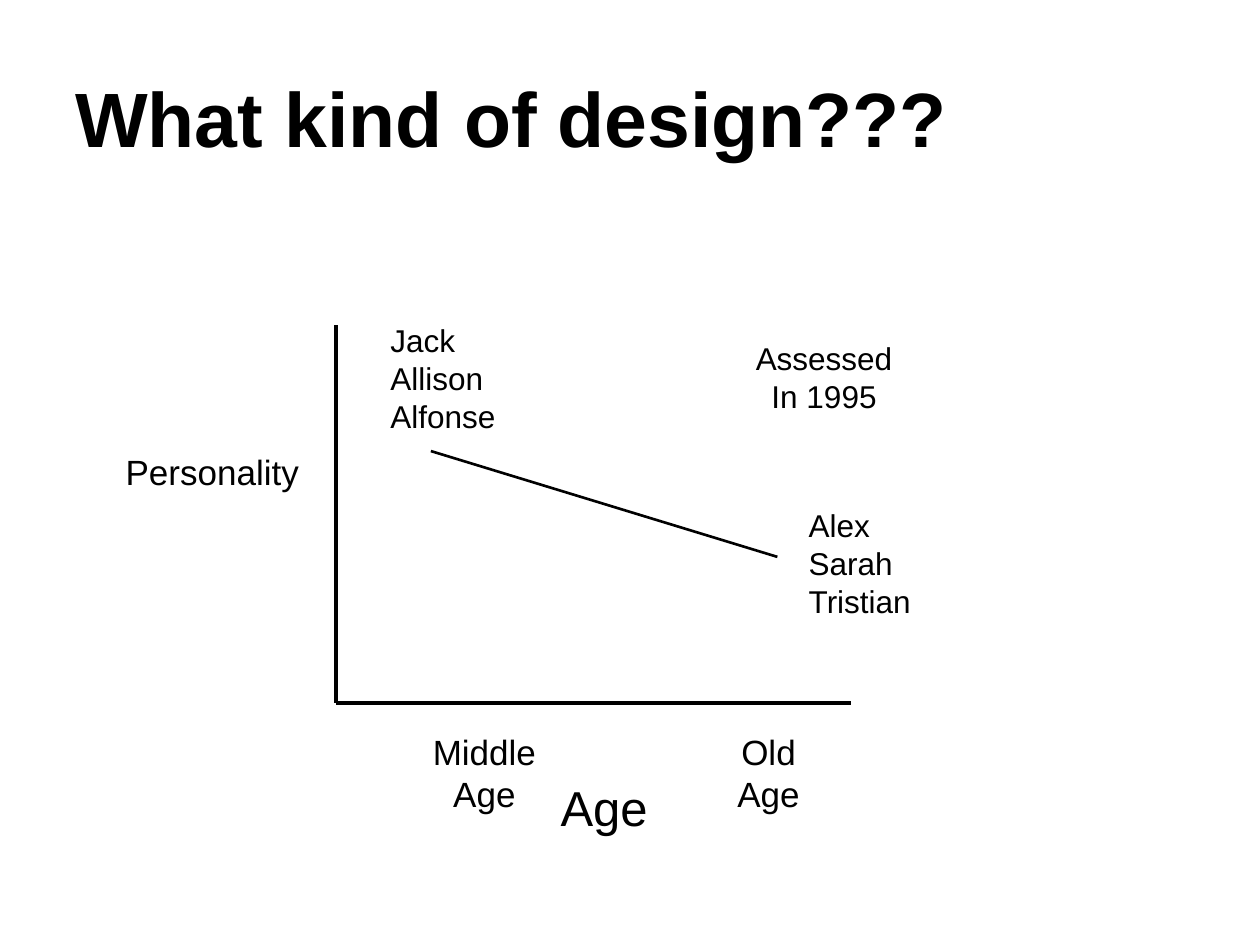
from pptx import Presentation
from pptx import util as u
from pptx.dml.color import RGBColor
from pptx.enum import shapes, text
from pptx.oxml.ns import qn
from lxml import etree

BLACK = RGBColor(0, 0, 0)
WHITE = RGBColor(255, 255, 255)
LEFT, CENTER = text.PP_ALIGN.LEFT, text.PP_ALIGN.CENTER


class DesignSlide:
    font = "Arial"
    color = BLACK

    def __init__(self, prs):
        self.s = prs.slides.add_slide(prs.slide_layouts[6])
        fill = self.s.background.fill
        fill.solid()
        fill.fore_color.rgb = WHITE

    def text_box(self, content, box, size, align=CENTER, bold=False, wrap=False):
        tf = self.s.shapes.add_textbox(*map(u.Inches, box)).text_frame
        tf.text = content
        tf.word_wrap = wrap
        tf.auto_size = (text.MSO_AUTO_SIZE.NONE if wrap
                        else text.MSO_AUTO_SIZE.SHAPE_TO_FIT_TEXT)
        for p in tf.paragraphs:
            p.alignment = align
            for r in p.runs:
                r.font.name = self.font
                r.font.size = u.Pt(size)
                r.font.bold = bold
                r.font.color.rgb = self.color
        return tf

    def line(self, start, end, width):
        c = self.s.shapes.add_connector(
            shapes.MSO_CONNECTOR.STRAIGHT, *map(u.Inches, start + end))
        c.line.color.rgb = self.color
        c.line.width = u.Pt(width)
        etree.SubElement(c._element.spPr, qn("a:effectLst"))


def main():
    prs = Presentation()
    prs.slide_width, prs.slide_height = u.Inches(10), u.Inches(7.5)
    slide = DesignSlide(prs)

    # Title
    tf = slide.text_box("What kind of design???", (0.5, 0.3, 9, 1.25), 44,
                        LEFT, bold=True, wrap=True)
    tf.vertical_anchor = text.MSO_ANCHOR.MIDDLE

    # Axes
    origin = (2.67, 5.58)
    slide.line((2.67, 2.58), origin, 2.25)
    slide.line(origin, (6.75, 5.58), 2.25)

    # Axis labels
    slide.text_box("Personality", (0.89, 3.53, 1.59, 0.44), 20)
    tf = slide.text_box("Age", (3.92, 6.08, 1.75, 0.58), 28, wrap=True)
    tf.margin_top = u.Inches(0.09)
    slide.text_box("Middle\nAge", (3.33, 5.75, 1.03, 0.77), 20)
    slide.text_box("Old\nAge", (5.75, 5.75, 0.7, 0.77), 20)

    # Time of assessment
    slide.text_box("Assessed\nIn 1995", (5.89, 2.64, 1.3, 0.71), 18)

    # Trend between the two groups
    slide.line((3.42, 3.58), (6.17, 4.42), 1.5)
    slide.text_box("Jack\nAllison\nAlfonse", (3, 2.5, 1.04, 1.01), 18, LEFT)
    slide.text_box("Alex\nSarah\nTristian", (6.32, 3.97, 1.02, 1.01), 18, LEFT)

    prs.save("out.pptx")


if __name__ == "__main__":
    main()
